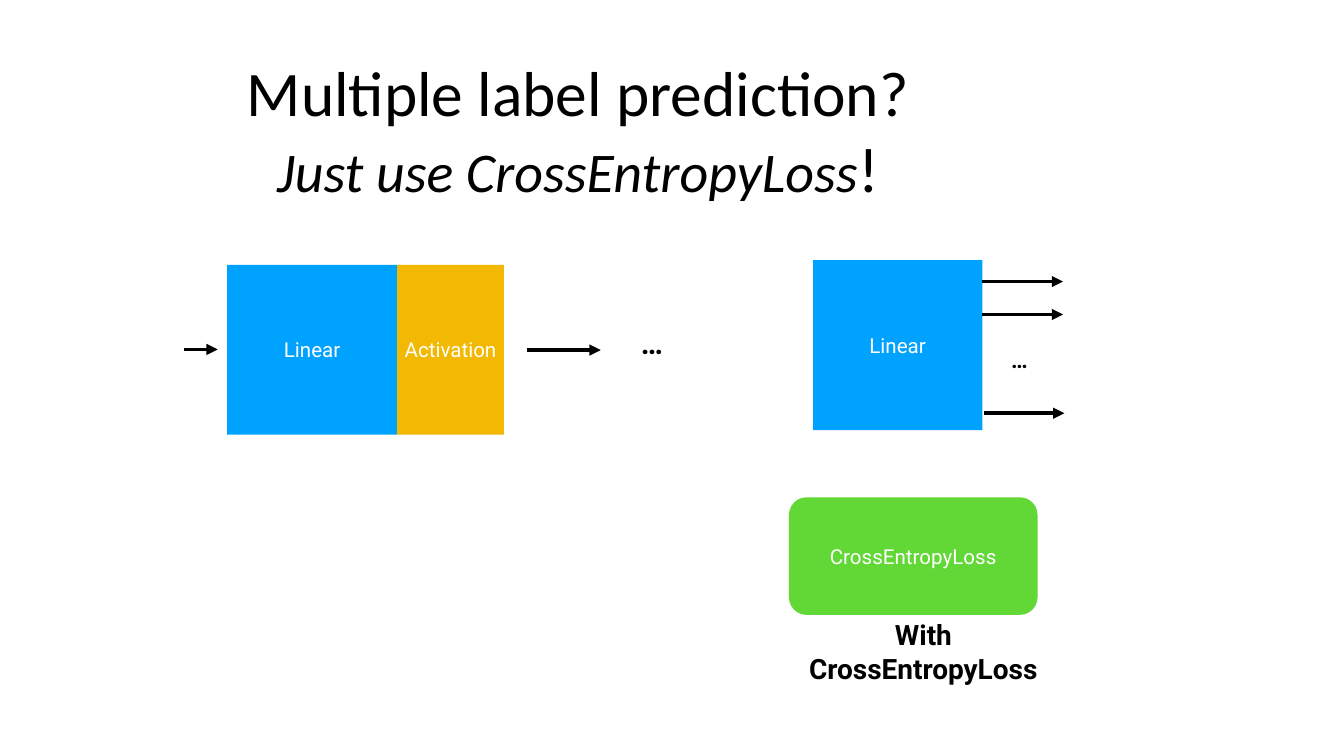
from dataclasses import dataclass

from lxml.etree import SubElement
from pptx import Presentation
from pptx.dml.color import RGBColor
from pptx.enum.shapes import MSO_CONNECTOR as Conn, MSO_SHAPE as Shape
from pptx.enum.text import MSO_ANCHOR as Anchor, PP_ALIGN as Align
from pptx.oxml.ns import qn
from pptx.util import Pt

PX = 4572


@dataclass(frozen=True)
class Theme:
    ink: str = "000000"
    paper: str = "FFFFFF"
    linear: str = "00A2FF"
    activation: str = "F3B802"
    loss: str = "61D836"
    title_font: str = "Calibri"
    body_font: str = "Roboto"
    title: int = 34
    subtitle: int = 30
    big_dots: int = 16
    caption: int = 15
    small_dots: int = 12
    label: int = 11
    line: int = 2


T = Theme()


def px(*lengths):
    return [n * PX for n in lengths]


def style(r, size, color, font=T.body_font, bold=False, italic=False):
    f = r.font
    f.name, f.size, f.bold, f.italic = font, Pt(size), bold, italic
    f.color.rgb = RGBColor.from_string(color)


def frame(sp, inset=6):
    tf = sp.text_frame
    tf.word_wrap = True
    tf.vertical_anchor = Anchor.MIDDLE
    tf.margin_left = tf.margin_right = tf.margin_top = tf.margin_bottom = inset * PX
    return tf


def write(sp, words, size, color, bold=False):
    p = frame(sp).paragraphs[0]
    p.text = words
    p.alignment = Align.CENTER
    style(p.runs[0], size, color, bold=bold)


def text(s, box, words, size):
    write(s.shapes.add_textbox(*px(*box)), words, size, T.ink, bold=True)


def block(s, box, words, fill, kind=Shape.RECTANGLE):
    sp = s.shapes.add_shape(kind, *px(*box))
    sp.shadow.inherit = False
    sp.fill.solid()
    sp.fill.fore_color.rgb = RGBColor.from_string(fill)
    sp.line.fill.background()
    write(sp, words, T.label, T.paper)
    return sp


def arrow(s, x, y, length):
    c = s.shapes.add_connector(Conn.STRAIGHT, *px(x, y, x + length, y))
    c.line.color.rgb = RGBColor.from_string(T.ink)
    c.line.width = Pt(T.line)
    props = c._element.spPr
    SubElement(props.find(qn("a:ln")), qn("a:tailEnd"), type="triangle")
    SubElement(props, qn("a:effectLst"))


def heading(s, box):
    tf = frame(s.shapes.add_textbox(*px(*box)), inset=4)
    lines = [
        [("Multiple label prediction?", T.title, False)],
        [("Just use CrossEntropyLoss", T.subtitle, True), ("!", T.title, False)],
    ]
    for i, runs in enumerate(lines):
        p = tf.add_paragraph() if i else tf.paragraphs[0]
        p.alignment = Align.CENTER
        for words, size, italic in runs:
            r = p.add_run()
            r.text = words
            style(r, size, T.ink, T.title_font, italic=italic)


def hidden_layer(s, box):
    x, y, w, h = box
    mid = y + h // 2
    linear_w = 253
    arrow(s, x - 64, mid, 50)
    block(s, (x, y, linear_w, h), "Linear", T.linear)
    block(s, (x + linear_w, y, w - linear_w, h), "Activation", T.activation)
    arrow(s, x + w + 34, mid + 1, 110)
    text(s, (x + w + 194, mid - 55, 52, 90), "…", T.big_dots)


def output_layer(s, box):
    x, y, w, h = box
    block(s, box, "Linear", T.linear)
    for dx, dy in ((0, 32), (0, 81), (2, 228)):
        arrow(s, x + w + dx, y + dy, 120)
    text(s, (x + w + 29, y + 103, 52, 90), "…", T.small_dots)


def loss(s, box):
    x, y, w, h = box
    sp = block(s, box, "CrossEntropyLoss", T.loss, Shape.ROUNDED_RECTANGLE)
    sp.adjustments[0] = 0.15
    text(s, (x - 9, y + h + 23, 418, 62), "With CrossEntropyLoss", T.caption)


def main():
    prs = Presentation()
    prs.slide_width, prs.slide_height = px(2000, 1125)
    s = prs.slides.add_slide(prs.slide_layouts[6])
    heading(s, (-46, 59, 1812, 266))
    hidden_layer(s, (338, 394, 412, 253))
    output_layer(s, (1210, 387, 252, 253))
    loss(s, (1174, 740, 370, 175))
    prs.save("out.pptx")


if __name__ == "__main__":
    main()
